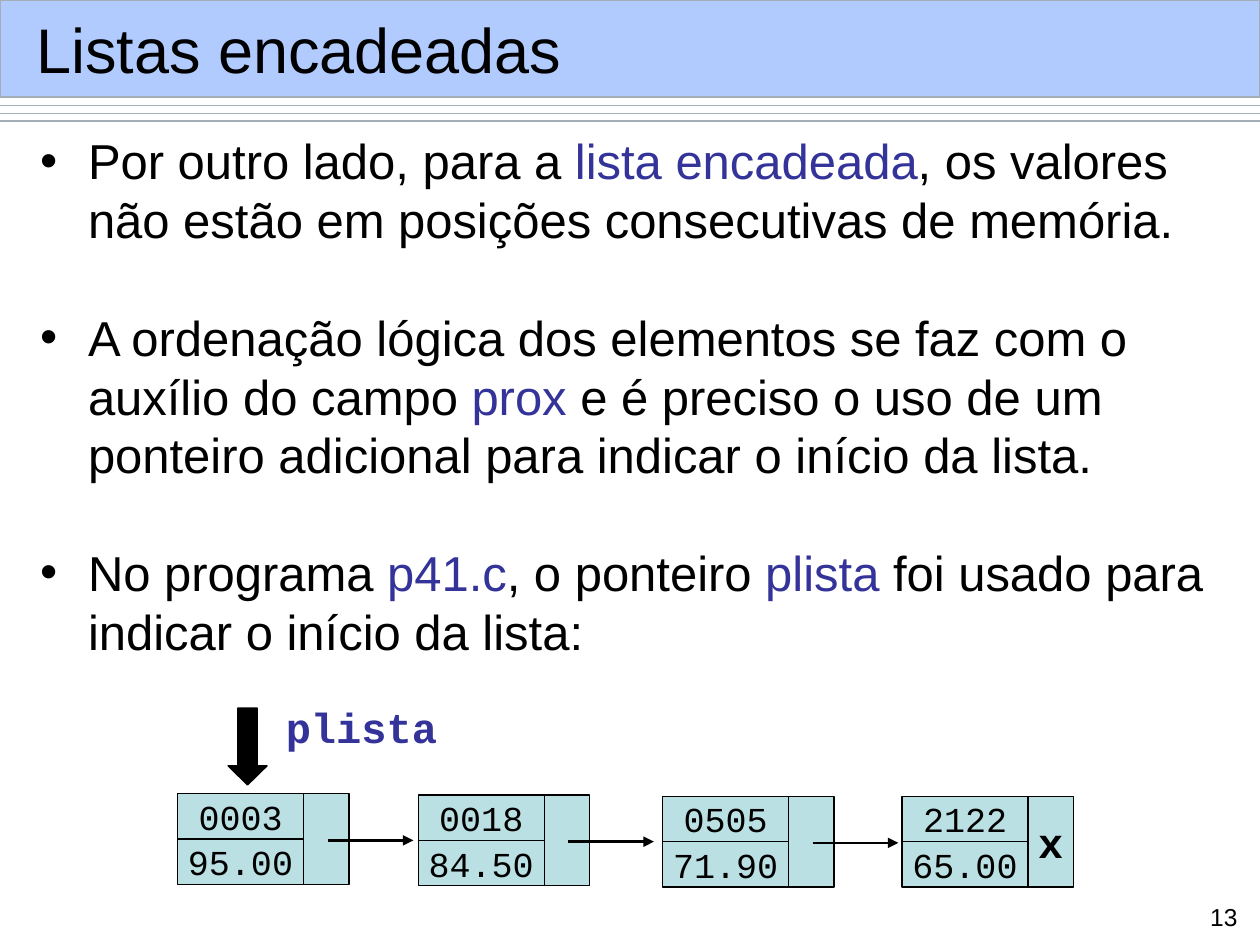
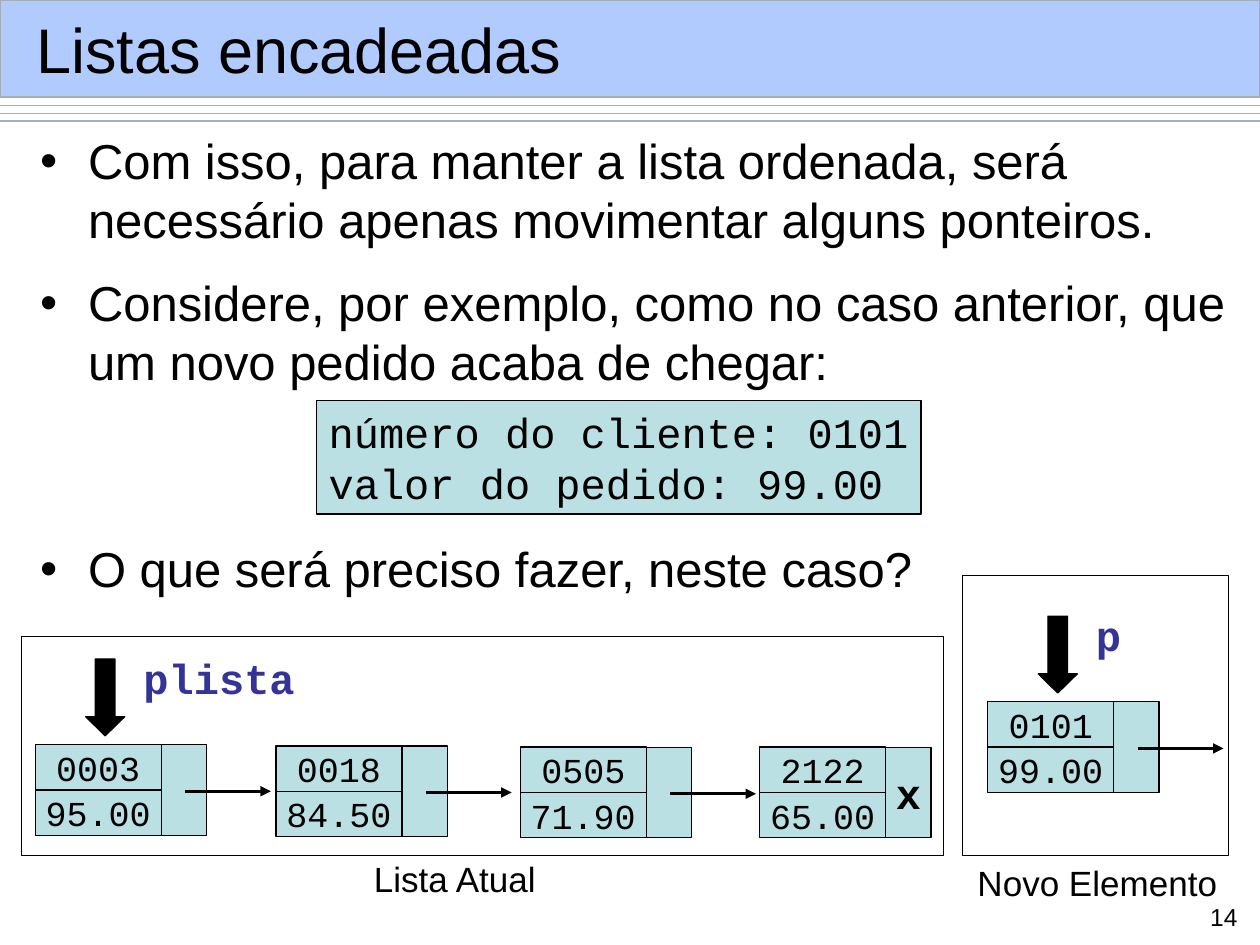
from dataclasses import dataclass

from lxml.etree import SubElement
from pptx import Presentation
from pptx.dml.color import RGBColor
from pptx.enum.shapes import MSO_CONNECTOR, MSO_SHAPE
from pptx.enum.text import MSO_ANCHOR, PP_ALIGN
from pptx.oxml.ns import qn
from pptx.shapes.autoshape import Shape
from pptx.slide import Slide
from pptx.util import Inches, Pt

COLORS = {
    "black": "000000",
    "white": "FFFFFF",
    "highlight": "333399",
    "node": "BBE0E3",
    "band": "6699FF",
    "rule": "A3AEB7",
}
SANS = "Arial"
MONO = "Courier New"
LINE_FACTOR = 1.2
BODY_SIZE = 28
BODY_LINE = BODY_SIZE * LINE_FACTOR
HANGING_INDENT = 0.38
VALUE_WIDTH = 1
POINTER_WIDTH = 0.36
ROW_HEIGHT = 0.36


@dataclass(frozen=True)
class Box:
    left: float
    top: float
    width: float
    height: float

    def lengths(self) -> list[Inches]:
        return [Inches(value) for value in (self.left, self.top, self.width, self.height)]


@dataclass(frozen=True)
class Bullet:
    text: str
    space_before: float = 0


@dataclass(frozen=True)
class Node:
    client: str
    amount: str
    left: float = 0
    top: float = 0
    last: bool = False


CURRENT_LIST = [
    Node("0003", "95.00"),
    Node("0018", "84.50", 1.91, 0.01),
    Node("0505", "71.90", 3.85, 0.02),
    Node("2122", "65.00", 5.75, 0.02, last=True),
]


def color(name: str) -> RGBColor:
    return RGBColor.from_string(COLORS[name])


def write_text(shape: Shape, text: str, *, size: float, font: str = SANS,
               ink: str = "black", bold: bool = False, wrap: bool = True,
               align: PP_ALIGN = PP_ALIGN.LEFT,
               anchor: MSO_ANCHOR = MSO_ANCHOR.TOP) -> None:
    frame = shape.text_frame
    frame.word_wrap = wrap
    frame.vertical_anchor = anchor
    for index, line in enumerate(text.split("\n")):
        paragraph = frame.paragraphs[0] if index == 0 else frame.add_paragraph()
        paragraph.alignment = align
        paragraph.line_spacing = Pt(size * LINE_FACTOR)
        for position, part in enumerate(line.split("|")):
            run = paragraph.add_run()
            run.text = part
            run.font.name = font
            run.font.size = Pt(size)
            run.font.bold = bold
            run.font.color.rgb = color("highlight" if position % 2 else ink)


def add_text(slide: Slide, box: Box, text: str, **text_format) -> Shape:
    shape = slide.shapes.add_textbox(*box.lengths())
    write_text(shape, text, **text_format)
    return shape


def add_box(slide: Slide, box: Box, fill: str | None = "node", line: str = "black",
            kind: MSO_SHAPE = MSO_SHAPE.RECTANGLE) -> Shape:
    shape = slide.shapes.add_shape(kind, *box.lengths())
    shape.shadow.inherit = False
    if fill:
        shape.fill.solid()
        shape.fill.fore_color.rgb = color(fill)
    else:
        shape.fill.background()
    shape.line.color.rgb = color(line)
    shape.line.width = Pt(0.75)
    return shape


def add_line(slide: Slide, left: float, top: float, length: float, ink: str,
             width: float, arrow: bool = False) -> None:
    connector = slide.shapes.add_connector(
        MSO_CONNECTOR.STRAIGHT, Inches(left), Inches(top),
        Inches(left + length), Inches(top))
    connector.line.color.rgb = color(ink)
    connector.line.width = Pt(width)
    if arrow:
        SubElement(connector.line._get_or_add_ln(), qn("a:tailEnd"), type="triangle")
    SubElement(connector._element.spPr, qn("a:effectLst"))


def add_bullets(slide: Slide, bullets: list[Bullet]) -> None:
    shape = add_text(slide, Box(0.22, 0.99, 9.68, 6.24),
                     "\n".join(bullet.text for bullet in bullets), size=BODY_SIZE)
    for bullet, paragraph in zip(bullets, shape.text_frame.paragraphs):
        paragraph.space_before = Pt(bullet.space_before)
        properties = paragraph._p.get_or_add_pPr()
        properties.set("marL", str(Inches(HANGING_INDENT)))
        properties.set("indent", str(-Inches(HANGING_INDENT)))
        SubElement(properties, qn("a:buFont"), typeface=SANS)
        SubElement(properties, qn("a:buChar"), char="•")


def add_node(slide: Slide, node: Node, left: float, top: float) -> None:
    left, top = left + node.left, top + node.top
    for row, value in enumerate((node.client, node.amount)):
        cell = add_box(slide, Box(left, top + row * ROW_HEIGHT, VALUE_WIDTH, ROW_HEIGHT))
        write_text(cell, value, size=20, font=MONO, wrap=False,
                   align=PP_ALIGN.CENTER, anchor=MSO_ANCHOR.MIDDLE)
    pointer = add_box(slide, Box(left + VALUE_WIDTH, top, POINTER_WIDTH, 2 * ROW_HEIGHT))
    if node.last:
        write_text(pointer, "x", size=24, font=MONO, bold=True, wrap=False,
                   align=PP_ALIGN.CENTER, anchor=MSO_ANCHOR.MIDDLE)
    else:
        add_line(slide, left + 1.19, top + 0.37, 0.68, "black", 1.5, arrow=True)


def add_linked_list(slide: Slide, nodes: list[Node], left: float, top: float,
                    name: str, name_width: float) -> None:
    for node in nodes:
        add_node(slide, node, left, top)
    arrow = add_box(slide, Box(left + 0.4, top - 0.68, 0.31, 0.61), "black",
                    kind=MSO_SHAPE.DOWN_ARROW)
    arrow.adjustments[1] = 0.49
    add_text(slide, Box(left + 0.76, top - 0.78, name_width, 0.5), name,
             size=24, font=MONO, ink="highlight", bold=True, wrap=False)


def add_base_slide(presentation: Presentation, number: int,
                   bullets: list[Bullet]) -> Slide:
    slide = presentation.slides.add_slide(presentation.slide_layouts[6])
    for index in range(3):
        add_line(slide, 0, 0.84 + index * 0.06, 10, "rule", 0.75)
    band = add_box(slide, Box(0, 0, 10, 0.77), "band", "rule")
    band_color = band._element.spPr.find(qn("a:solidFill"))[0]
    SubElement(band_color, qn("a:alpha"), val="50000")
    add_text(slide, Box(0.19, 0.09, 9.64, 0.59), "Listas encadeadas",
             size=36, anchor=MSO_ANCHOR.MIDDLE)
    add_bullets(slide, bullets)
    add_text(slide, Box(9.47, 7.11, 0.45, 0.31), str(number), size=14,
             align=PP_ALIGN.RIGHT)
    return slide


def build_list_slide(presentation: Presentation) -> None:
    slide = add_base_slide(presentation, 13, [
        Bullet("Por outro lado, para a |lista encadeada|, os valores não estão em "
               "posições consecutivas de memória."),
        Bullet("A ordenação lógica dos elementos se faz com o auxílio do campo |prox| "
               "e é preciso o uso de um ponteiro adicional para indicar o início da "
               "lista.", BODY_LINE),
        Bullet("No programa |p41.c|, o ponteiro |plista| foi usado para indicar o "
               "início da lista:", BODY_LINE),
    ])
    add_linked_list(slide, CURRENT_LIST, 1.41, 6.3, "plista", 1.4)


def build_new_element_slide(presentation: Presentation) -> None:
    slide = add_base_slide(presentation, 14, [
        Bullet("Com isso, para manter a lista ordenada, será necessário apenas "
               "movimentar alguns ponteiros."),
        Bullet("Considere, por exemplo, como no caso anterior, que um novo pedido "
               "acaba de chegar:", 14),
        Bullet("O que será preciso fazer, neste caso?", 2 * BODY_LINE + 17.5),
    ])
    order = add_box(slide, Box(2.51, 3.18, 4.8, 0.9))
    write_text(order, "número do cliente: 0101\nvalor do pedido: 99.00",
               size=24, font=MONO, wrap=False)
    add_box(slide, Box(7.64, 4.57, 2.11, 2.22), "white")
    add_box(slide, Box(0.17, 5.05, 7.32, 1.74), None)
    add_linked_list(slide, CURRENT_LIST, 0.28, 5.91, "plista", 1.4)
    add_linked_list(slide, [Node("0101", "99.00")], 7.84, 5.57, "p", 0.4)
    add_text(slide, Box(2.87, 6.76, 1.5, 0.44), "Lista Atual", size=20, wrap=False)
    add_text(slide, Box(7.66, 6.79, 2.1, 0.44), "Novo Elemento", size=20, wrap=False)


def main() -> None:
    presentation = Presentation()
    presentation.slide_width = Inches(10)
    presentation.slide_height = Inches(7.5)
    build_list_slide(presentation)
    build_new_element_slide(presentation)
    presentation.save("out.pptx")


if __name__ == "__main__":
    main()
